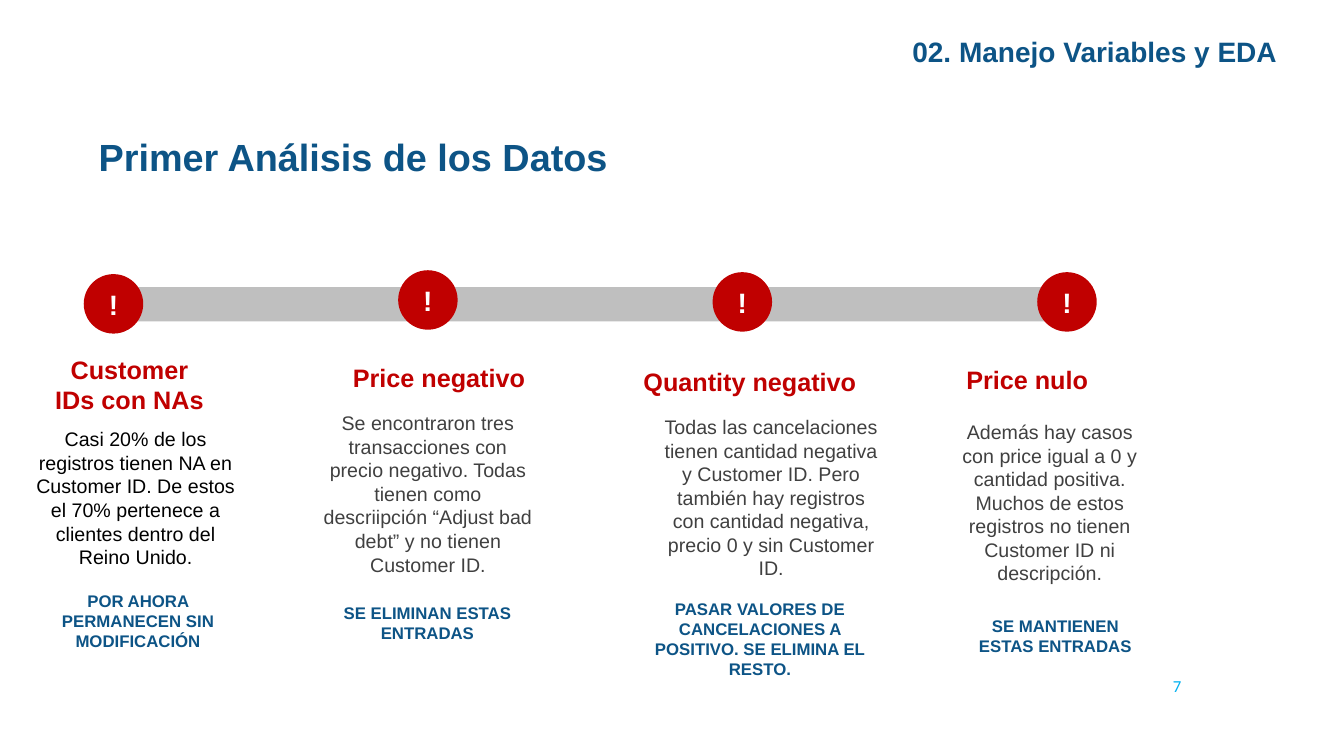
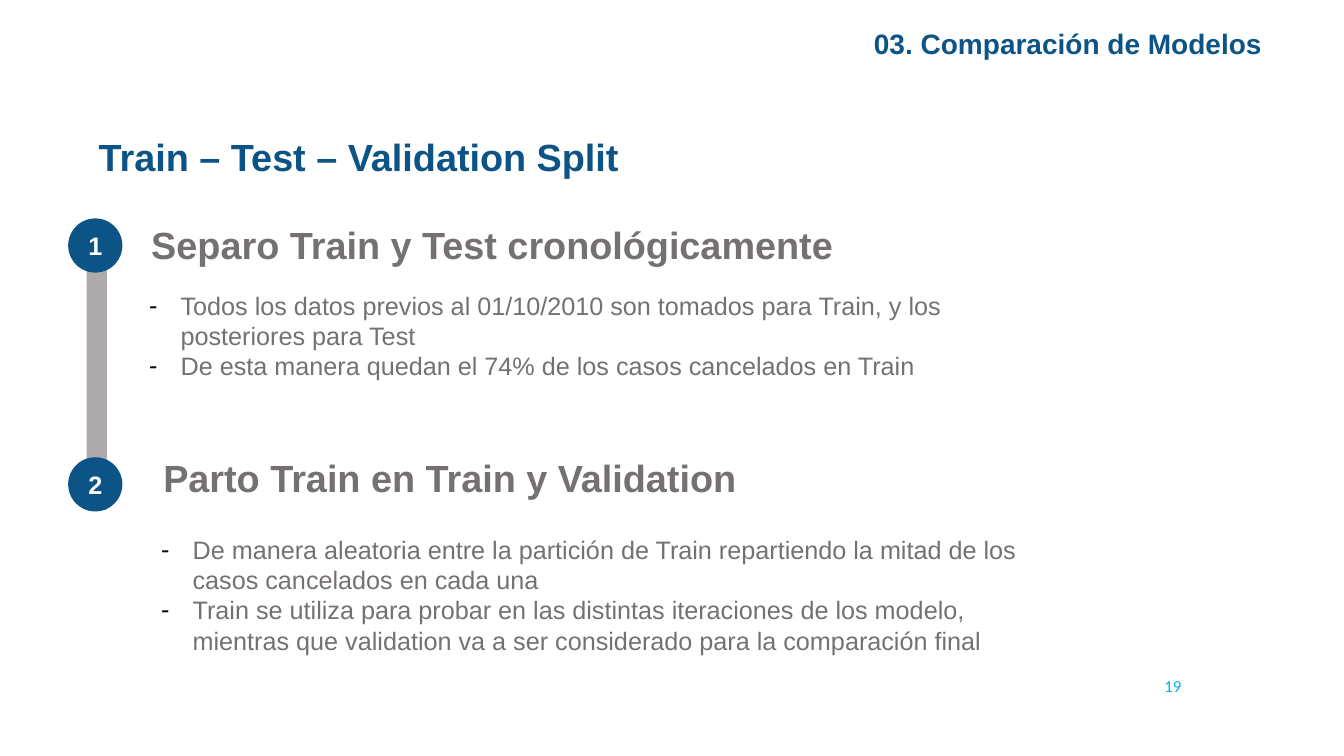
"""Build two slides on data checks and the train, test and validation split."""
import lxml.etree
import pptx
import pptx.dml.color
import pptx.enum.shapes
import pptx.enum.text
import pptx.oxml.ns
import pptx.util

Pt = pptx.util.Pt
SHAPE = pptx.enum.shapes.MSO_SHAPE
ALIGN = pptx.enum.text.PP_ALIGN
ANCHOR = pptx.enum.text.MSO_ANCHOR

COLORS = {
    "navy": "0D5486",
    "red": "C00000",
    "white": "FFFFFF",
    "black": "000000",
    "body": "404040",
    "gray": "767171",
    "timeline": "BFBFBF",
    "spine": "AFABAB",
    "page": "00B0F0",
}
TITLE_INSET = 8.64
BULLET_INDENT = 22.5

FINDINGS = [
    {
        "marker": (59.8, 195.8),
        "heading": ("Customer IDs con NAs", (28.8, 249.1, 127.4, 51.1)),
        "body": ("Casi 20% de los registros tienen NA en Customer ID. De estos el 70% "
                 "pertenece a clientes dentro del Reino Unido.", (13, 301.7, 167.8, 108.7)),
        "body_color": "black",
        "action": ("POR AHORA PERMANECEN SIN MODIFICACIÓN", (25.9, 418.3, 145.4, 51.1)),
    },
    {
        "marker": (284.4, 193),
        "heading": ("Price negativo", (238.3, 254.9, 150.5, 28.8)),
        "body": ("Se encontraron tres transacciones con precio negativo. Todas tienen como "
                 "descriipción “Adjust bad debt” y no tienen Customer ID.",
                 (221.8, 290.2, 167.8, 126)),
        "body_color": "body",
        "action": ("SE ELIMINAN ESTAS ENTRADAS", (232.6, 427, 145.4, 36)),
    },
    {
        "marker": (509, 194.4),
        "heading": ("Quantity negativo", (451.4, 257.8, 168.5, 28.8)),
        "body": ("Todas las cancelaciones tienen cantidad negativa y Customer ID. Pero "
                 "también hay registros con cantidad negativa, precio 0 y sin Customer ID.",
                 (466.6, 293, 168.5, 126)),
        "body_color": "body",
        "action": ("PASAR VALORES DE CANCELACIONES A POSITIVO. SE ELIMINA EL RESTO.",
                   (454.3, 424.1, 177.1, 65.5)),
    },
    {
        "marker": (740.9, 194.4),
        "heading": ("Price nulo", (676.8, 256.3, 113.8, 28.8)),
        "body": ("Además hay casos con price igual a 0 y cantidad positiva. Muchos de estos "
                 "registros no tienen Customer ID ni descripción.", (673.2, 296.6, 153.4, 126)),
        "body_color": "body",
        "action": ("SE MANTIENEN ESTAS ENTRADAS", (681.1, 436.3, 145.4, 36)),
    },
]

STEPS = [
    {
        "marker_top": 157,
        "heading": "Separo Train y Test cronológicamente",
        "left": 99.4,
        "heading_top": 154.8,
        "points_top": 203.8,
        "points_height": 72.7,
        "points": [
            "Todos los datos previos al 01/10/2010 son tomados para Train, y los "
            "posteriores para Test",
            "De esta manera quedan el 74% de los casos cancelados en Train",
        ],
    },
    {
        "marker_top": 327.6,
        "heading": "Parto Train en Train y Validation",
        "left": 108,
        "heading_top": 321.1,
        "points_top": 378,
        "points_height": 94.3,
        "points": [
            "De manera aleatoria entre la partición de Train repartiendo la mitad de los "
            "casos cancelados en cada una",
            "Train se utiliza para probar en las distintas iteraciones de los modelo, "
            "mientras que validation va a ser considerado para la comparación final",
        ],
    },
]


def rgb(color):
    return pptx.dml.color.RGBColor.from_string(COLORS[color])


def format_text(paragraph, size, color, bold=False, align=ALIGN.LEFT, font="Arial"):
    paragraph.alignment = align
    for run in paragraph.runs:
        run.font.name = font
        run.font.size = Pt(size)
        run.font.bold = bold
        run.font.color.rgb = rgb(color)


def add_text(slide, text, place, size, color, inset=7.2, anchor=ANCHOR.TOP, **style):
    frame = slide.shapes.add_textbox(*map(Pt, place)).text_frame
    frame.word_wrap = True
    frame.margin_left = frame.margin_right = Pt(inset)
    frame.vertical_anchor = anchor
    frame.text = text
    for paragraph in frame.paragraphs:
        format_text(paragraph, size, color, **style)
    return frame


def add_title(slide, text, place):
    return add_text(slide, text, place, 27, "navy", TITLE_INSET, bold=True)


def add_shape(slide, kind, place, fill):
    shape = slide.shapes.add_shape(kind, *map(Pt, place))
    shape.shadow.inherit = False
    shape.fill.solid()
    shape.fill.fore_color.rgb = rgb(fill)
    shape.line.fill.background()
    return shape


def add_marker(slide, label, left, top, diameter, fill, size):
    marker = add_shape(slide, SHAPE.OVAL, (left, top, diameter, diameter), fill)
    frame = marker.text_frame
    frame.margin_left = frame.margin_right = frame.margin_top = frame.margin_bottom = 0
    frame.vertical_anchor = ANCHOR.MIDDLE
    frame.word_wrap = False
    frame.text = label
    format_text(frame.paragraphs[0], size, "white", bold=True, align=ALIGN.CENTER)
    return marker


def add_dash(paragraph):
    properties = paragraph._p.get_or_add_pPr()
    properties.set("marL", str(Pt(BULLET_INDENT)))
    properties.set("indent", str(-Pt(BULLET_INDENT)))
    qn = pptx.oxml.ns.qn
    bullet_color = lxml.etree.SubElement(properties, qn("a:buClr"))
    lxml.etree.SubElement(bullet_color, qn("a:srgbClr"), val=COLORS["black"])
    lxml.etree.SubElement(properties, qn("a:buFont"), typeface="Arial")
    lxml.etree.SubElement(properties, qn("a:buChar"), char="-")


def add_points(slide, points, place):
    frame = add_text(slide, "\n".join(points), place, 18, "gray")
    for paragraph in frame.paragraphs:
        add_dash(paragraph)


def add_base(deck, section, section_place, title, page):
    slide = deck.slides.add_slide(deck.slide_layouts[6])
    add_text(slide, page, (635, 475.2, 216, 28.8), 12, "page", anchor=ANCHOR.MIDDLE,
             align=ALIGN.RIGHT, font="Calibri")
    add_text(slide, section, section_place, 20, "navy", TITLE_INSET, bold=True)
    add_title(slide, title, (61.9, 92.2, 597.6, 40.3))
    return slide


def add_finding(slide, finding):
    add_marker(slide, "!", *finding["marker"], 42.5, "red", 20)
    add_text(slide, *finding["heading"], 18, "red", anchor=ANCHOR.MIDDLE, bold=True,
             align=ALIGN.CENTER)
    add_text(slide, *finding["body"], 14, finding["body_color"], align=ALIGN.CENTER)
    add_text(slide, *finding["action"], 12, "navy", bold=True, align=ALIGN.CENTER)


def add_step(slide, number, step):
    marker = add_marker(slide, str(number), 49.7, step["marker_top"], 36.7, "navy", 18)
    marker.line.color.rgb = rgb("navy")
    marker.line.width = Pt(2)
    add_text(slide, step["heading"], (step["left"], step["heading_top"], 597.6, 40.3), 27,
             "gray", TITLE_INSET, bold=True)
    add_points(slide, step["points"],
               (step["left"], step["points_top"], 661, step["points_height"]))


def main():
    deck = pptx.Presentation()
    deck.slide_width, deck.slide_height = Pt(960), Pt(540)

    analysis = add_base(deck, "02. Manejo Variables y EDA", (643, 20.9, 287.3, 31.7),
                        "Primer Análisis de los Datos", "7")
    add_shape(analysis, SHAPE.RECTANGLE, (66.2, 205.2, 709.9, 24.5), "timeline")
    for finding in FINDINGS:
        add_finding(analysis, finding)

    split = add_base(deck, "03. Comparación de Modelos", (615.6, 15.1, 340, 31.7),
                     "Train – Test – Validation Split", "19")
    add_shape(split, SHAPE.RECTANGLE, (61.9, 161.3, 14.4, 203), "spine")
    for number, step in enumerate(STEPS, 1):
        add_step(split, number, step)

    deck.save("out.pptx")


if __name__ == "__main__":
    main()
